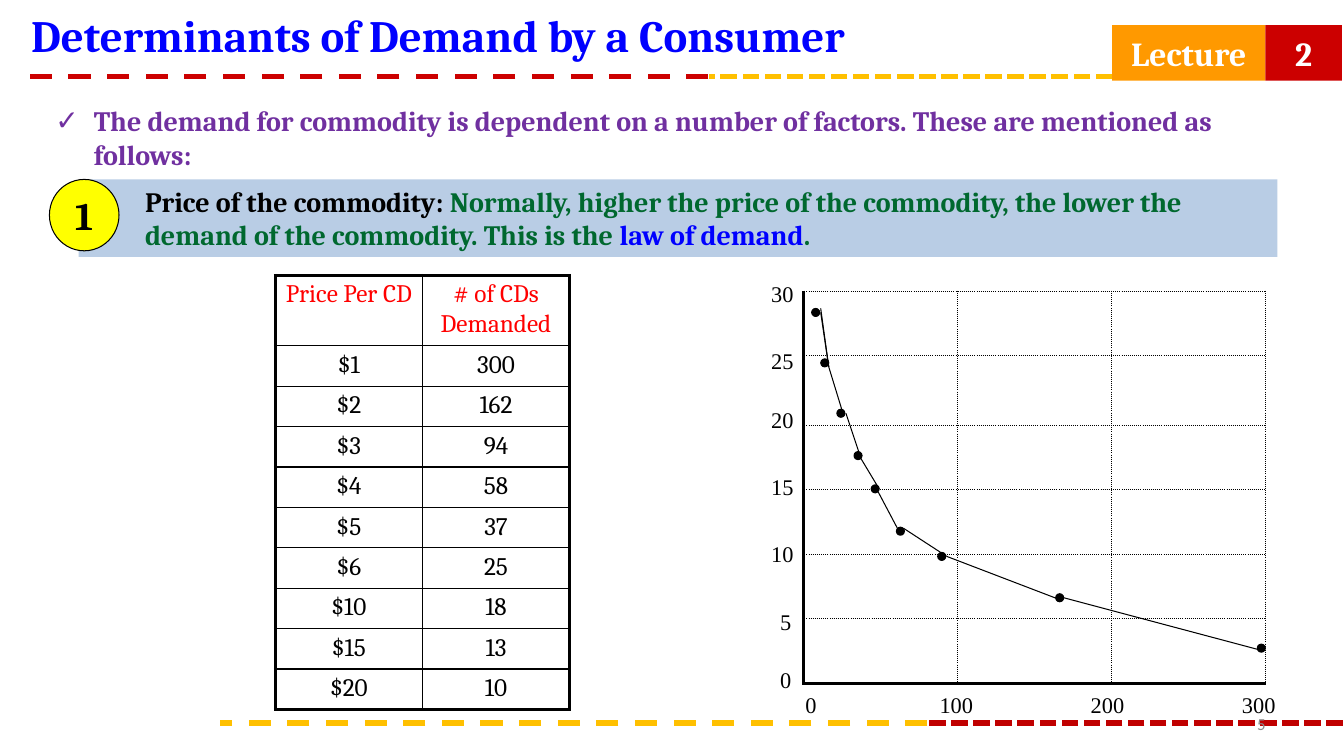
from lxml import etree
from pptx import Presentation
from pptx.dml.color import RGBColor
from pptx.enum.dml import MSO_LINE
from pptx.enum.shapes import MSO_CONNECTOR, MSO_SHAPE
from pptx.enum.text import MSO_ANCHOR, MSO_AUTO_SIZE, PP_ALIGN
from pptx.oxml import parse_xml
from pptx.oxml.ns import nsdecls, qn
from pptx.util import Inches, Pt

LEFT, CENTER, RIGHT = PP_ALIGN.LEFT, PP_ALIGN.CENTER, PP_ALIGN.RIGHT
TOP, MIDDLE = MSO_ANCHOR.TOP, MSO_ANCHOR.MIDDLE
DASH, SHORT_DASH = MSO_LINE.DASH, MSO_LINE.SQUARE_DOT
RECTANGLE, OVAL = MSO_SHAPE.RECTANGLE, MSO_SHAPE.OVAL

SLIDE_WIDTH, SLIDE_HEIGHT = 13.33, 7.5
BLACK, WHITE, BLUE, RED, GOLD = "000000", "FFFFFF", "0000FF", "CC0000", "FFC000"
THIN, THICK, DOTTED = (1, "solid"), (2.25, "solid"), (1, "sysDot")

DEMAND = [
    ("Price Per CD", "# of CDs Demanded"),
    ("$1", "300"), ("$2", "162"), ("$3", "94"), ("$4", "58"), ("$5", "37"),
    ("$6", "25"), ("$10", "18"), ("$15", "13"), ("$20", "10"),
]
# Offsets in inches from the top left corner of the plot
GRID_ROWS = (0.64, 0.69, 0.64, 0.64, 0.64, 0.64)
PRICE_LABELS = {"30": -0.16, "25": 0.5, "20": 1.09, "15": 1.75, "10": 2.42,
                "5": 3.09, "0": 3.67}
QUANTITY_LABELS = {"0": -0.08, "100": 1.25, "200": 2.75, "300": 4.25}
DOTS = [(0.08, 0.17), (0.17, 0.67), (0.33, 1.17), (0.5, 1.59), (0.67, 1.92),
        (0.92, 2.34), (1.33, 2.59), (2.5, 3), (4.5, 3.5)]
SEGMENTS = [
    (0.17, 0.17, 0.25, 0.75), (0.17, 0.21, 0.25, 0.75), (0.25, 0.75, 0.4, 1.24),
    (0.42, 1.21, 0.57, 1.66), (0.57, 1.66, 0.75, 1.96), (0.74, 1.99, 0.93, 2.35),
    (0.99, 2.35, 1.42, 2.63), (1.42, 2.63, 2.57, 3.07), (2.58, 3.04, 4.57, 3.57),
]


def color(hex_code):
    return RGBColor.from_string(hex_code)


def place(shape, box):
    shape.left, shape.top, shape.width, shape.height = map(Inches, box)


def style_font(font, size, hex_code, name="Cambria", bold=False):
    font.name, font.size, font.bold = name, Pt(size), bold
    font.color.rgb = color(hex_code)


def style_line(line, hex_code, width, dash=None):
    line.color.rgb = color(hex_code)
    line.width = Pt(width)
    if dash:
        line.dash_style = dash


def write(shape, spans, size, align=LEFT, anchor=TOP, name="Cambria", bold=True):
    """Fill a shape with one paragraph of (text, colour) spans."""
    frame = shape.text_frame
    frame.word_wrap = True
    frame.auto_size = MSO_AUTO_SIZE.NONE
    frame.vertical_anchor = anchor
    para = frame.paragraphs[0]
    para.alignment = align
    para.space_before = Pt(0)
    for text, hex_code in spans:
        span = para.add_run()
        span.text = text
        style_font(span.font, size, hex_code, name, bold)
    return para


def hang_bullet(para, indent, bullet):
    properties = para._p.get_or_add_pPr()
    properties.set("marL", str(Inches(indent)))
    properties.set("indent", str(-Inches(indent)))
    etree.SubElement(properties, qn("a:buChar")).set("char", bullet)


def add_block(page, kind, box, fill):
    shape = page.shapes.add_shape(kind, *map(Inches, box))
    shape.shadow.inherit = False
    shape.fill.solid()
    shape.fill.fore_color.rgb = color(fill)
    shape.line.fill.background()
    return shape


def add_rule(page, box, split, first, second):
    """Draw a two-colour dashed rule; split is the share of the first colour."""
    left, top, width, height = box
    middle, right = left + width * split, left + width
    for stops, hex_code, dash in (((middle, left, middle), first, DASH),
                                  ((right, middle), second, SHORT_DASH)):
        points = [(Inches(stop), Inches(top)) for stop in stops]
        builder = page.shapes.build_freeform(*points[0])
        builder.add_line_segments(points[1:], close=False)
        rule = builder.convert_to_shape()
        rule.height = Inches(height)
        rule.shadow.inherit = False
        rule.fill.background()
        style_line(rule.line, hex_code, 3.94, dash)


def add_header(page, box):
    left, top, width, height = box
    title = page.shapes.title
    place(title, (left, top, width * 0.77, height * 0.83))
    write(title, [("Determinants of Demand by a Consumer", BLUE)], 32)

    tag_left, tag_width = left + width * 0.826, width * 0.174
    for text, start, share, fill in (("Lecture", 0, 2 / 3, "FF9900"),
                                     ("2", 2 / 3, 1 / 3, RED)):
        tag = add_block(page, RECTANGLE, (tag_left + tag_width * start, 0.25,
                                          tag_width * share, 0.55), fill)
        write(tag, [(text, WHITE)], 24, CENTER, MIDDLE)
    add_rule(page, (left, 0.76, tag_left - left, 0.25), 0.63, RED, GOLD)


def add_footer(page, box):
    left, top, width, height = box
    add_rule(page, (left, top + 0.15, width, 0.22), 0.63, GOLD, "C00000")
    number = page.shapes.add_textbox(
        *map(Inches, (left + width * 0.66, top, width * 0.28, height)))
    write(number, [("5", "898989")], 12, RIGHT, MIDDLE, "Calibri", False)


def add_intro(page, box):
    body = page.placeholders[1]
    place(body, box)
    para = write(body, [("The demand for commodity is dependent on a number of "
                         "factors. These are mentioned as follows:", "7030A0")], 20)
    hang_bullet(para, 0.38, "✓")


def add_factor(page, box):
    """Draw a numbered band naming one determinant of demand."""
    left, top, width, height = box
    band = add_block(page, RECTANGLE, box, "B9CDE5")
    green = "00682F"
    para = write(band, [
        ("Price of the commodity: ", BLACK),
        ("Normally, higher the price of the commodity, the lower the demand "
         "of the commodity. This is the ", green),
        ("law of demand", BLUE),
        (".", green),
    ], 20)
    hang_bullet(para, 0.56, "o")
    badge = add_block(page, OVAL, (left - 0.29, top, 0.69, height * 0.92), "FFFF00")
    style_line(badge.line, BLACK, 0.75)
    write(badge, [("1", BLACK)], 28, CENTER, MIDDLE)


def set_borders(cell, borders):
    """Set (width, dash) borders in the order left, right, top, bottom."""
    properties = cell._tc.get_or_add_tcPr()
    for side, (width, dash) in zip("LRTB", borders):
        properties.append(parse_xml(
            f'<a:ln{side} {nsdecls("a")} w="{Pt(width)}"><a:solidFill>'
            f'<a:srgbClr val="{BLACK}"/></a:solidFill>'
            f'<a:prstDash val="{dash}"/></a:ln{side}>'))
    cell.fill.background()


def add_plain_table(page, box, heights, columns):
    table = page.shapes.add_table(len(heights), columns, *map(Inches, box)).table
    table.first_row = table.horz_banding = False
    for row, height in zip(table.rows, heights):
        row.height = Inches(height)
    return table


def add_demand_table(page, box):
    last_row, last_column = len(DEMAND) - 1, len(DEMAND[0]) - 1
    header = 0.7
    heights = [header] + [(box[3] - header) / last_row] * last_row
    table = add_plain_table(page, box, heights, last_column + 1)
    for r, row in enumerate(DEMAND):
        for c, text in enumerate(row):
            cell = table.cell(r, c)
            edges = (c == 0, c == last_column, r == 0, r == last_row)
            set_borders(cell, [THICK if edge else THIN for edge in edges])
            cell.text = text
            para = cell.text_frame.paragraphs[0]
            para.alignment = CENTER
            style_font(para.runs[0].font, 18, BLACK if r else "FF0000")


def add_plot_grid(page, box, columns=3):
    table = add_plain_table(page, box, GRID_ROWS, columns)
    for r in range(len(GRID_ROWS)):
        for c in range(columns):
            axes = (c == 0, False, False, r == len(GRID_ROWS) - 1)
            set_borders(table.cell(r, c), [THICK if axis else DOTTED for axis in axes])


def add_demand_curve(page, box):
    left, top, width, height = box
    add_plot_grid(page, box)
    labels = [(text, x, height + 0.03) for text, x in QUANTITY_LABELS.items()]
    labels += [(text, -0.42 if len(text) > 1 else -0.33, y)
               for text, y in PRICE_LABELS.items()]
    for text, x, y in labels:
        label = page.shapes.add_textbox(*map(Inches, (left + x, top + y, 0.67, 0.37)))
        write(label, [(text, BLACK)], 16, name="Times New Roman", bold=False)
    for x, y in DOTS:
        dot = add_block(page, OVAL, (left + x, top + y, 0.08, 0.08), BLACK)
        style_line(dot.line, BLACK, 0.75)
    for x1, y1, x2, y2 in SEGMENTS:
        segment = page.shapes.add_connector(MSO_CONNECTOR.STRAIGHT, *map(
            Inches, (left + x1, top + y1, left + x2, top + y2)))
        style_line(segment.line, BLACK, 0.75)
        etree.SubElement(segment._element.spPr, qn("a:effectLst"))


def main():
    deck = Presentation()
    deck.slide_width, deck.slide_height = Inches(SLIDE_WIDTH), Inches(SLIDE_HEIGHT)
    page = deck.slides.add_slide(deck.slide_layouts[1])
    add_header(page, (0.21, 0.03, 13.1, 0.77))
    add_footer(page, (2.18, 7.02, 11.14, 0.33))
    add_intro(page, (0.45, 0.98, 12.52, 0.77))
    add_factor(page, (0.78, 1.78, 11.89, 0.77))
    add_demand_table(page, (2.73, 2.73, 2.92, 4.31))
    add_demand_curve(page, (7.97, 2.89, 4.58, 3.89))
    deck.save("out.pptx")


if __name__ == "__main__":
    main()
